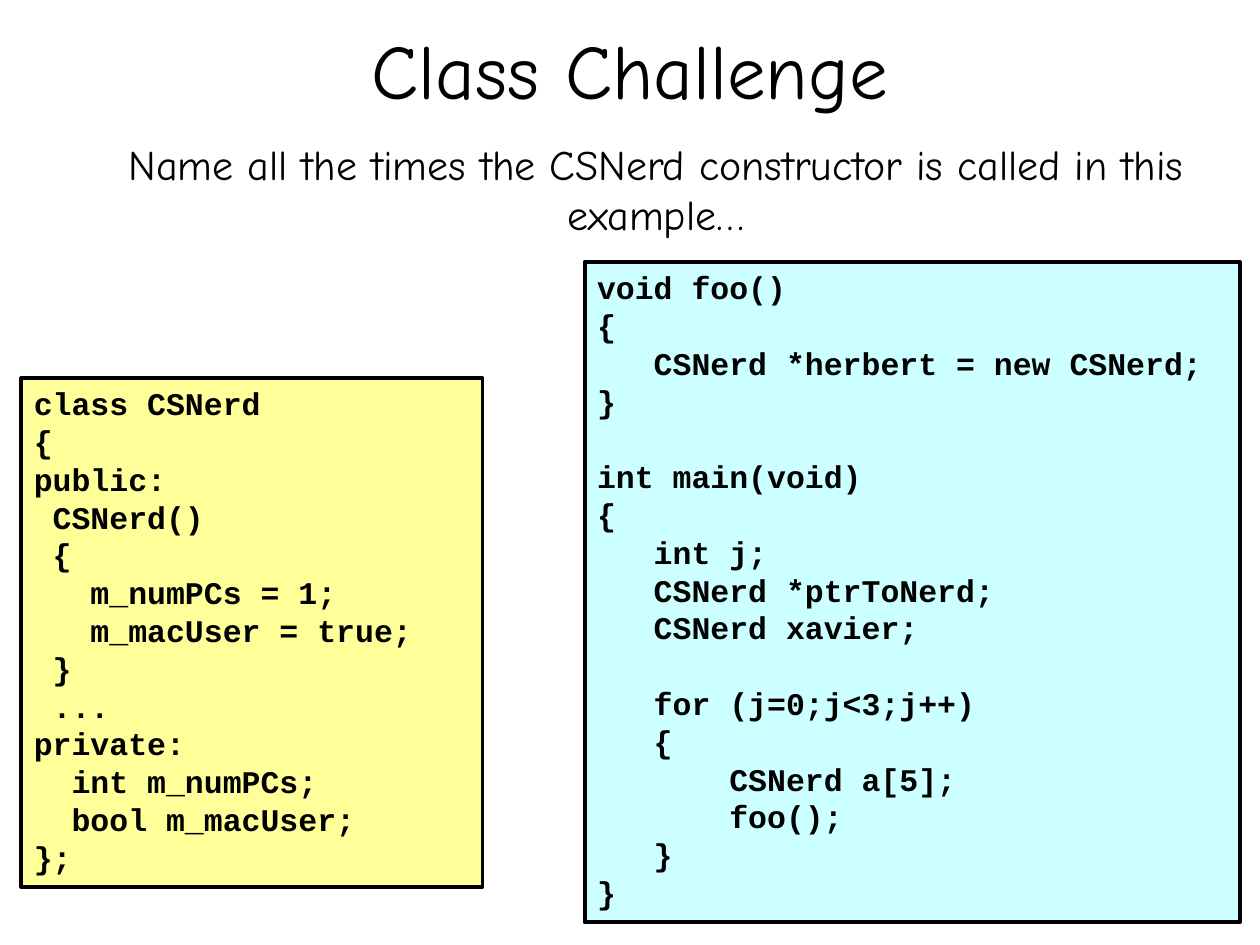
from lxml import etree
from pptx import Presentation
from pptx import util as u
from pptx.dml.color import RGBColor
from pptx.enum import shapes, text
from pptx.oxml.ns import qn

BLACK = RGBColor(0, 0, 0)
YELLOW = RGBColor(0xFF, 0xFF, 0x99)
CYAN = RGBColor(0xCC, 0xFF, 0xFF)
PROSE_FONT, CODE_FONT = "Comic Neue", "Courier New"
CODE_SIZE = 18

TITLE = "Class Challenge"
QUESTION = "Name all the times the CSNerd constructor is called in this example…"

CLASS_CODE = """class CSNerd
{
public:
 CSNerd()
 {
   m_numPCs = 1;
   m_macUser = true;
 }
 ...
private:
  int m_numPCs;
  bool m_macUser;
};"""

MAIN_CODE = """void foo()
{
   CSNerd *herbert = new CSNerd;
}

int main(void)
{
   int j;
   CSNerd *ptrToNerd;
   CSNerd xavier;

   for (j=0;j<3;j++)
   {
       CSNerd a[5];
       foo();
   }
}"""

# Code, fill, then left, top, width and height in inches
PANELS = [
    (CLASS_CODE, YELLOW, (0.17, 3, 3.66, 4.04)),
    (MAIN_CODE, CYAN, (4.64, 2.08, 5.2, 5.24)),
]


def style(span, size, font, bold=False):
    span.font.size = u.Pt(size)
    span.font.name = font
    span.font.bold = bold
    span.font.color.rgb = BLACK


def write_centred(frame, words, size):
    frame.word_wrap = True
    frame.text = words
    para = frame.paragraphs[0]
    para.alignment = text.PP_ALIGN.CENTER
    style(para.runs[0], size, PROSE_FONT)


def add_code_panel(page, code, fill, place):
    panel = page.shapes.add_shape(shapes.MSO_SHAPE.RECTANGLE, *map(u.Inches, place))
    panel.shadow.inherit = False
    panel.fill.solid()
    panel.fill.fore_color.rgb = fill
    panel.line.color.rgb = BLACK
    panel.line.width = u.Pt(2.25)
    frame = panel.text_frame
    frame.word_wrap = True
    frame.vertical_anchor = text.MSO_ANCHOR.TOP
    frame.text = code
    for para in frame.paragraphs:
        para.alignment = text.PP_ALIGN.LEFT
        for span in para.runs:
            style(span, CODE_SIZE, CODE_FONT, bold=True)
        if not para.runs:  # empty code lines keep the code's line height
            end = etree.SubElement(para._p, qn("a:endParaRPr"), sz=str(CODE_SIZE * 100))
            etree.SubElement(end, qn("a:latin"), typeface=CODE_FONT)


deck = Presentation()
deck.slide_width, deck.slide_height = u.Inches(10), u.Inches(7.5)
page = deck.slides.add_slide(deck.slide_layouts[5])

# Title
title = page.shapes.title
title.left, title.top, title.width, title.height = map(u.Inches, (0.75, -0.08, 8.5, 1.25))
title.text_frame.vertical_anchor = text.MSO_ANCHOR.MIDDLE
write_centred(title.text_frame, TITLE, 44)

# Question
question = page.shapes.add_textbox(*map(u.Inches, (0.82, 1.05, 8.77, 0.9)))
write_centred(question.text_frame, QUESTION, 24)

# Code panels
for code, fill, place in PANELS:
    add_code_panel(page, code, fill, place)

deck.save("out.pptx")
